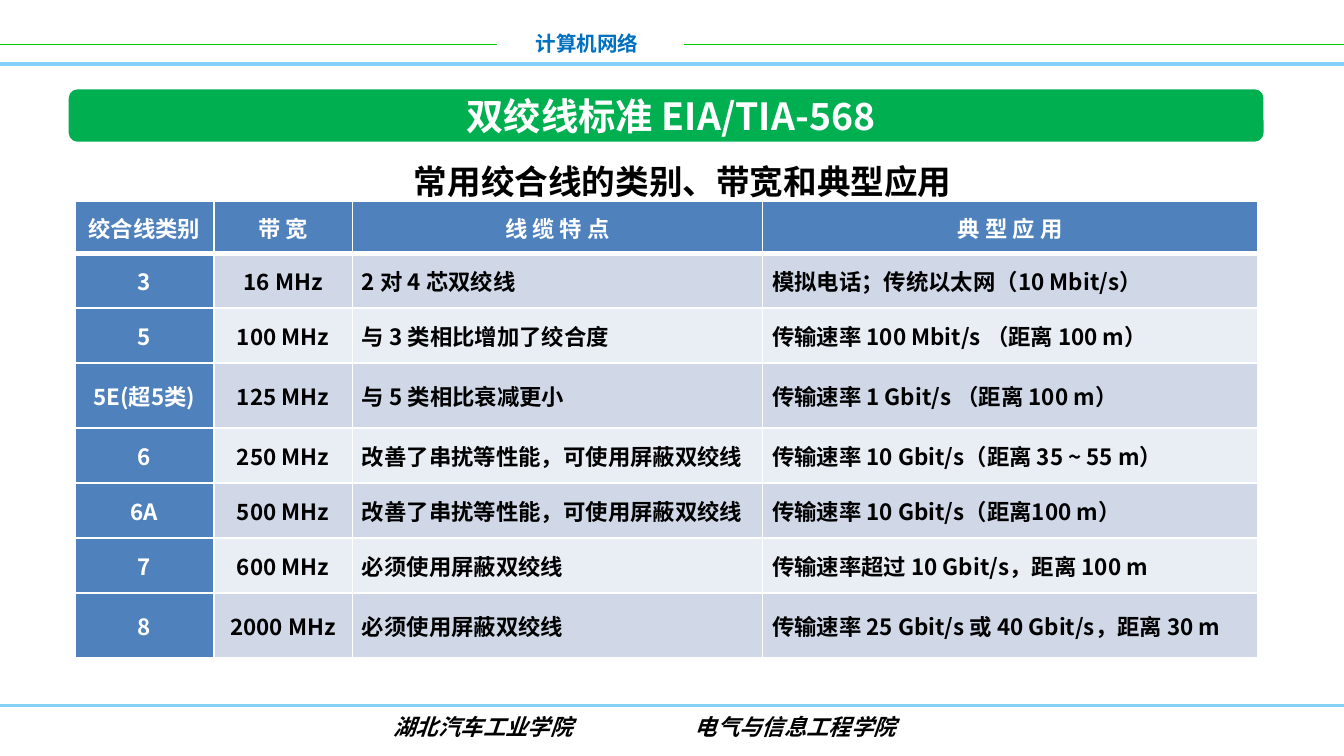
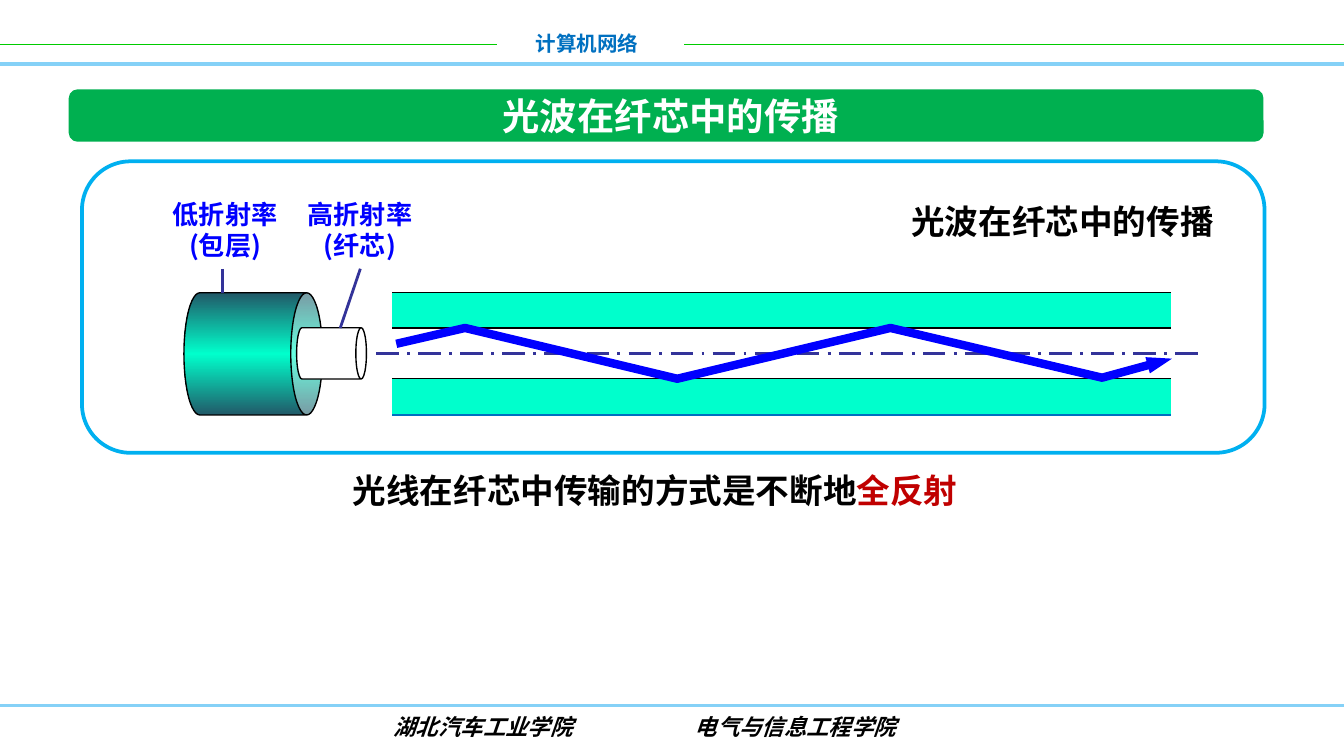
from copy import deepcopy

from lxml import etree
from pptx import Presentation
from pptx.dml.color import RGBColor
from pptx.enum import dml, shapes, text
from pptx.oxml.ns import qn
from pptx.util import Cm, Pt

FONT = "Noto Sans CJK SC"
COLOURS = {
    "white": "FFFFFF", "black": "000000", "green": "00CC00", "sky": "85D1F7",
    "course": "0070C0", "band": "00B050", "head": "4F81BD", "odd": "D0D8E8",
    "even": "E9EDF4", "frame": "00B0F0", "cladding": "00FFCC", "shade": "215968",
    "indigo": "333399", "ray": "0000FF", "accent": "C00000",
}
LEFT, CENTER, RIGHT = text.PP_ALIGN.LEFT, text.PP_ALIGN.CENTER, text.PP_ALIGN.RIGHT
KIND = shapes.MSO_SHAPE
CABLE_COLUMNS = [2.62, 2.62, 7.75, 9.37]
ONE_LINE, TWO_LINES = 1.04, 1.23
CABLE_HEIGHTS = [0.99, 1.02, ONE_LINE, TWO_LINES, ONE_LINE, ONE_LINE, ONE_LINE, TWO_LINES]
CABLE_ROWS = [
    ["绞合线类别", "带 宽", "线 缆 特 点", "典 型 应 用"],
    ["3", "16 MHz", "2 对 4 芯双绞线", "模拟电话；传统以太网（10 Mbit/s）"],
    ["5", "100 MHz", "与 3 类相比增加了绞合度", "传输速率 100 Mbit/s （距离 100 m）"],
    ["5E(超5类)", "125 MHz", "与 5 类相比衰减更小", "传输速率 1 Gbit/s （距离 100 m）"],
    ["6", "250 MHz", "改善了串扰等性能，可使用屏蔽双绞线", "传输速率 10 Gbit/s（距离 35 ~ 55 m）"],
    ["6A", "500 MHz", "改善了串扰等性能，可使用屏蔽双绞线", "传输速率 10 Gbit/s（距离100 m）"],
    ["7", "600 MHz", "必须使用屏蔽双绞线", "传输速率超过 10 Gbit/s，距离 100 m"],
    ["8", "2000 MHz", "必须使用屏蔽双绞线", "传输速率 25 Gbit/s 或 40 Gbit/s，距离 30 m"],
]
FIBRE_LEFT, FIBRE_RIGHT = 7.41, 22.13
FIBRE_EDGES = [5.53, 6.2, 7.16, 7.85]
RAY_POINTS = [(7.49, 6.5), (8.79, 6.2), (12.8, 7.16), (16.83, 6.2), (20.83, 7.14), (22.15, 6.78)]


def rgb(name):
    return RGBColor.from_string(COLOURS[name])


def add_span(para, words, size, colour, italic=False, font=FONT):
    span = para.add_run()
    span.text = words
    span.font.name = font
    span.font.size = Pt(size)
    span.font.bold = True
    if italic:
        span.font.italic = True
    span.font.color.rgb = rgb(colour)
    etree.SubElement(span.font._element, qn("a:ea"), typeface=FONT)


def add_text(page, place, lines, size, align=CENTER, wrap=True, middle=False):
    box = page.shapes.add_textbox(*map(Cm, place))
    frame = box.text_frame
    frame.word_wrap = wrap
    if middle:
        frame.vertical_anchor = text.MSO_ANCHOR.MIDDLE
    for index, spans in enumerate(lines):
        para = frame.add_paragraph() if index else frame.paragraphs[0]
        para.alignment = align
        for words, colour in spans:
            add_span(para, words, size, colour)


def add_line(page, start, end, colour, width, dash=None):
    line = page.shapes.add_connector(shapes.MSO_CONNECTOR.STRAIGHT, *map(Cm, start + end))
    line.line.color.rgb = rgb(colour)
    line.line.width = Pt(width)
    if dash:
        line.line.dash_style = dash
    etree.SubElement(line._element.spPr, qn("a:effectLst"))


def add_block(page, kind, place, fill, outline=None, width=0.75, adjust=None, turn=0):
    block = page.shapes.add_shape(kind, *map(Cm, place))
    block.shadow.inherit = False
    block.rotation = turn
    if adjust is not None:
        block.adjustments[0] = adjust
    block.fill.solid()
    block.fill.fore_color.rgb = rgb(fill)
    if outline:
        block.line.color.rgb = rgb(outline)
        block.line.width = Pt(width)
    else:
        block.line.fill.background()
    return block


def shade_across(block, names):
    block.fill.gradient()
    block.fill.gradient_angle = 0
    stop_list = block._element.spPr.find(qn("a:gradFill")).find(qn("a:gsLst"))
    stop_list.append(deepcopy(stop_list[0]))
    for index, (stop, name) in enumerate(zip(block.fill.gradient_stops, names)):
        stop.position = index / (len(names) - 1)
        stop.color.rgb = rgb(name)


def add_footer(page):
    box = page.shapes.add_textbox(Cm(7.19), Cm(13.36), Cm(12), Cm(0.76))
    box.text_frame.word_wrap = True
    para = box.text_frame.paragraphs[0]
    para.alignment = LEFT
    tabs = etree.SubElement(para._p.get_or_add_pPr(), qn("a:tabLst"))
    etree.SubElement(tabs, qn("a:tab"), pos=str(Cm(5.69)), algn="l")
    for words in ("湖北汽车工业学院", "\t电气与信息工程学院"):
        add_span(para, words, 12, "black", italic=True, font="Arial")


def add_page(deck, title):
    page = deck.slides.add_slide(deck.slide_layouts[6])
    add_line(page, (0, 0.84), (9.4, 0.84), "green", 1)
    add_text(page, (9.86, 0.46, 2.46, 0.74), [[("计算机网络", "course")]], 11, RIGHT, wrap=False)
    add_line(page, (0, 1.21), (25.4, 1.21), "sky", 2)
    add_line(page, (12.93, 0.84), (25.4, 0.84), "green", 1)
    add_line(page, (0, 13.34), (25.4, 13.34), "sky", 1.5)
    add_footer(page)
    add_block(page, KIND.ROUNDED_RECTANGLE, (1.3, 1.69, 22.58, 0.99), "band", adjust=0.167)
    add_text(page, (3.47, 1.69, 18.42, 0.99), [[(title, "white")]], 20, middle=True)
    return page


def set_borders(cell, top, bottom):
    for side, width in (("L", 1), ("R", 1), ("T", top), ("B", bottom)):
        edge = etree.SubElement(cell._tc.get_or_add_tcPr(), qn(f"a:ln{side}"), w=str(Pt(width)))
        fill = etree.SubElement(edge, qn("a:solidFill"))
        etree.SubElement(fill, qn("a:srgbClr"), val=COLOURS["white"])


def fill_cell(cell, words, row, column):
    heading = row == 0 or column == 0
    set_borders(cell, 3 if row == 1 else 1, 3 if row == 0 else 1)
    cell.fill.solid()
    cell.fill.fore_color.rgb = rgb("head" if heading else "odd" if row % 2 else "even")
    cell.margin_left = cell.margin_right = Cm(0.18)
    cell.margin_top = cell.margin_bottom = 0
    cell.vertical_anchor = text.MSO_ANCHOR.MIDDLE
    para = cell.text_frame.paragraphs[0]
    para.alignment = CENTER if row == 0 or column < 2 else LEFT
    add_span(para, words, 12, "white" if heading else "black")


def add_cable_table(page):
    size = len(CABLE_ROWS), len(CABLE_COLUMNS)
    place = 1.42, 3.81, sum(CABLE_COLUMNS), sum(CABLE_HEIGHTS)
    table = page.shapes.add_table(*size, *map(Cm, place)).table
    table.horz_banding = False
    for column, width in zip(table.columns, CABLE_COLUMNS):
        column.width = Cm(width)
    for index, values in enumerate(CABLE_ROWS):
        table.rows[index].height = Cm(CABLE_HEIGHTS[index])
        for column, words in enumerate(values):
            fill_cell(table.cell(index, column), words, index, column)


def add_ray(page):
    points = [(Cm(x), Cm(y)) for x, y in RAY_POINTS]
    builder = page.shapes.build_freeform(*points[0])
    builder.add_line_segments(points[1:], close=False)
    ray = builder.convert_to_shape()
    ray.shadow.inherit = False
    ray.fill.background()
    ray.line.color.rgb = rgb("ray")
    ray.line.width = Pt(4.5)
    etree.SubElement(ray.get_or_add_ln(), qn("a:tailEnd"), type="triangle", w="sm", len="med")


def add_fibre(page):
    for top, bottom, fill in zip(FIBRE_EDGES, FIBRE_EDGES[1:], ("cladding", "white", "cladding")):
        place = FIBRE_LEFT, top, FIBRE_RIGHT - FIBRE_LEFT, bottom - top
        add_block(page, KIND.RECTANGLE, place, fill)
    cladding = add_block(page, KIND.CAN, (3.63, 5.38, 2.31, 2.62), "cladding", "black", adjust=0.26, turn=90)
    shade_across(cladding, ("shade", "cladding", "shade"))
    add_block(page, KIND.CAN, (5.78, 6.02, 0.97, 1.32), "white", "black", adjust=0.207, turn=90)
    for y in FIBRE_EDGES[:3]:
        add_line(page, (FIBRE_LEFT, y), (FIBRE_RIGHT, y), "black", 0.75)
    base = FIBRE_EDGES[3]
    add_line(page, (FIBRE_LEFT, base), (FIBRE_RIGHT, base), "course", 1)
    add_line(page, (7.11, 6.68), (22.68, 6.68), "indigo", 1.5, dml.MSO_LINE.LONG_DASH_DOT)
    for left, index, part, start, end in (
        (5.55, "高折射率", "(纤芯)", (6.81, 5.08), (6.43, 6.2)),
        (3, "低折射率", "(包层)", (4.21, 5.08), (4.21, 5.53)),
    ):
        add_text(page, (left, 3.62, 2.51, 1.45), [[(index, "ray")], [(part, "ray")]], 14, wrap=False)
        add_line(page, start, end, "indigo", 1.5)
    add_ray(page)


def main():
    deck = Presentation()
    deck.slide_width, deck.slide_height = Cm(25.4), Cm(14.29)

    page = add_page(deck, "双绞线标准 EIA/TIA-568")
    add_cable_table(page)
    add_text(page, (7.52, 2.92, 10.77, 1.02), [[("常用绞合线的类别、带宽和典型应用", "black")]], 18, wrap=False)

    title = "光波在纤芯中的传播"
    page = add_page(deck, title)
    add_block(page, KIND.ROUNDED_RECTANGLE, (1.55, 3.05, 22.35, 5.51), "white", "frame", 2)
    add_text(page, (16.89, 3.68, 6.38, 1.02), [[(title, "black")]], 18)
    add_fibre(page)
    conclusion = [("光线在纤芯中传输的方式是不断地", "black"), ("全反射", "accent")]
    add_text(page, (5.6, 8.76, 13.56, 1.02), [conclusion], 18)

    deck.save("out.pptx")


if __name__ == "__main__":
    main()
